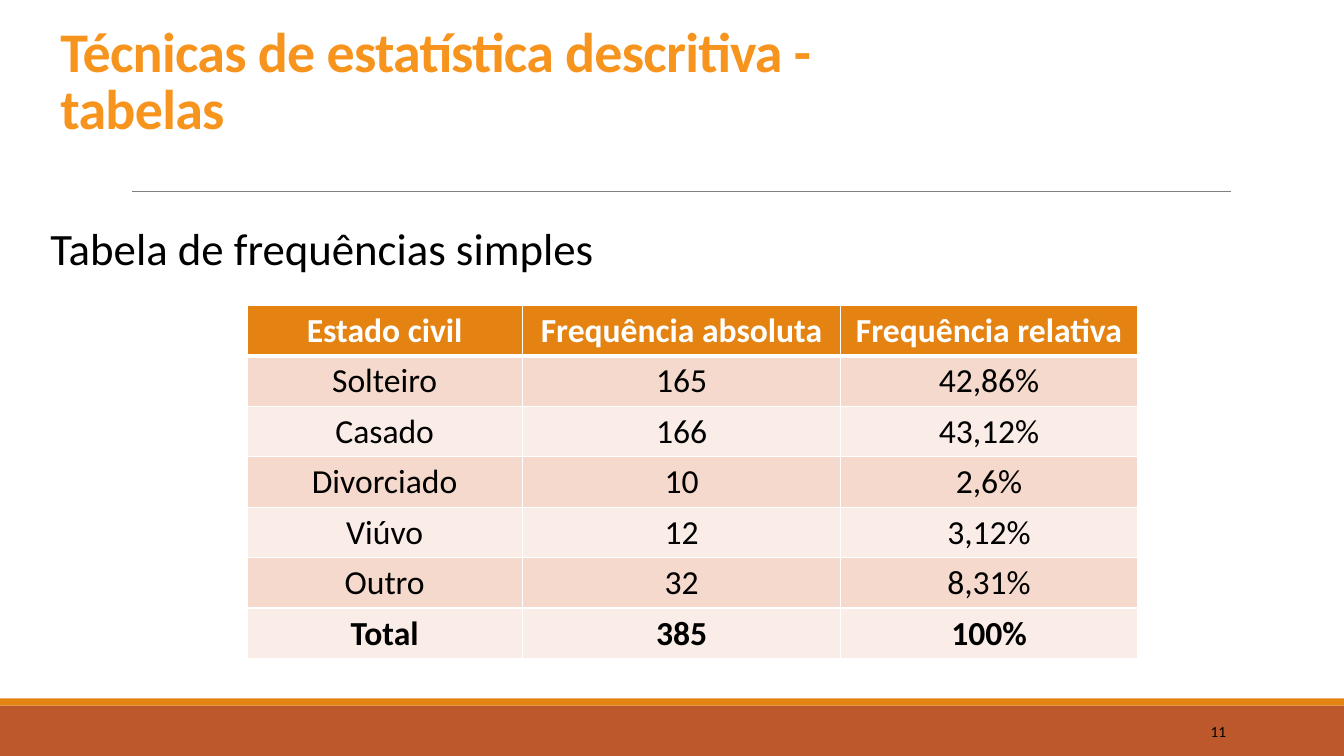
from lxml.etree import SubElement
from pptx import Presentation
from pptx.dml.color import RGBColor
from pptx.enum.shapes import MSO_CONNECTOR, MSO_SHAPE
from pptx.enum.text import MSO_ANCHOR, MSO_AUTO_SIZE, PP_ALIGN
from pptx.oxml.ns import qn
from pptx.util import Inches, Pt

WHITE = RGBColor(0xFF, 0xFF, 0xFF)
BLACK = RGBColor(0, 0, 0)
GRAY = RGBColor(0x80, 0x80, 0x80)
RUST = RGBColor(0xBD, 0x58, 0x2C)
ORANGE = RGBColor(0xE4, 0x83, 0x12)
TITLE_ORANGE = RGBColor(0xF7, 0x94, 0x1E)
BAND_DARK = RGBColor(0xF5, 0xD9, 0xCC)
BAND_LIGHT = RGBColor(0xFA, 0xED, 0xE7)


def set_font(paragraph, size, color, bold=False):
    font = paragraph.font
    font.name = "Calibri"
    font.size = Pt(size)
    font.bold = bold
    font.color.rgb = color


def set_borders(cell, widths):
    properties = cell._tc.get_or_add_tcPr()
    for position, (side, width) in enumerate(widths.items()):
        border = properties.makeelement(qn(f"a:{side}"), {"w": str(Pt(width))})
        fill = SubElement(border, qn("a:solidFill"))
        SubElement(fill, qn("a:srgbClr"), val=str(WHITE))
        properties.insert(position, border)


prs = Presentation()
prs.slide_width = Inches(13.33)
prs.slide_height = Inches(7.5)
slide = prs.slides.add_slide(prs.slide_layouts[1])
shapes = slide.shapes

for top, height, color in [(7, 0.5, RUST), (6.93, 0.07, ORANGE)]:
    footer_band = shapes.add_shape(
        MSO_SHAPE.RECTANGLE, 0, Inches(top), prs.slide_width, Inches(height))
    footer_band.shadow.inherit = False
    footer_band.fill.solid()
    footer_band.fill.fore_color.rgb = color
    footer_band.line.fill.background()

title_rule = shapes.add_connector(
    MSO_CONNECTOR.STRAIGHT, Inches(1.31), Inches(1.9), Inches(12.21), Inches(1.9))
title_rule.line.color.rgb = GRAY
title_rule.line.width = Pt(0.5)
SubElement(title_rule._element.spPr, qn("a:effectLst"))

title = shapes.title
title.left, title.top = Inches(0.5), Inches(0.41)
title.width, title.height = Inches(9.33), Inches(1.04)
title.text_frame.text = "Técnicas de estatística descritiva - tabelas"
title.text_frame.vertical_anchor = MSO_ANCHOR.BOTTOM
title.text_frame.auto_size = MSO_AUTO_SIZE.NONE
heading = title.text_frame.paragraphs[0]
heading.alignment = PP_ALIGN.LEFT
heading.line_spacing = 0.85
set_font(heading, 40, TITLE_ORANGE, True)
heading.runs[0].font._element.set("spc", "-50")

body = slide.placeholders[1]
body.left, body.top = Inches(0.5), Inches(2.2)
body.width, body.height = Inches(12.38), Inches(4.44)
body.text_frame.text = "Tabela de frequências simples"
body.text_frame.auto_size = MSO_AUTO_SIZE.NONE
body.text_frame.margin_left = body.text_frame.margin_right = 0
subtitle = body.text_frame.paragraphs[0]
subtitle.line_spacing = 0.9
subtitle.space_before = Pt(12)
subtitle.space_after = Pt(2)
set_font(subtitle, 32, BLACK)
subtitle_properties = subtitle._p.get_or_add_pPr()
subtitle_properties.set("marL", "0")
subtitle_properties.set("indent", "0")
bullet = subtitle_properties.makeelement(qn("a:buNone"), {})
subtitle_properties.find(qn("a:defRPr")).addprevious(bullet)

page_number = shapes.add_textbox(
    Inches(10.83), Inches(7.06), Inches(1.43), Inches(0.4)).text_frame
page_number.word_wrap = True
page_number.vertical_anchor = MSO_ANCHOR.MIDDLE
page_number.text = "11"
page_number.paragraphs[0].alignment = PP_ALIGN.RIGHT
set_font(page_number.paragraphs[0], 11, BLACK)

frequencies = [
    ("Estado civil", "Frequência absoluta", "Frequência relativa"),
    ("Solteiro", "165", "42,86%"),
    ("Casado", "166", "43,12%"),
    ("Divorciado", "10", "2,6%"),
    ("Viúvo", "12", "3,12%"),
    ("Outro", "32", "8,31%"),
    ("Total", "385", "100%"),
]
table = shapes.add_table(
    len(frequencies), 3, Inches(2.45), Inches(3.03), Inches(8.83), Inches(3.5)).table
for column, width in zip(table.columns, [2.73, 3.16, 2.94]):
    column.width = Inches(width)

last_row = len(frequencies) - 1
for row, values in enumerate(frequencies):
    is_header = row == 0
    table.rows[row].height = Inches(0.5)
    for col, value in enumerate(values):
        cell = table.cell(row, col)
        cell.text = value
        cell.vertical_anchor = MSO_ANCHOR.MIDDLE
        cell.fill.solid()
        cell.fill.fore_color.rgb = (
            ORANGE if is_header else BAND_DARK if row % 2 else BAND_LIGHT)
        paragraph = cell.text_frame.paragraphs[0]
        paragraph.alignment = PP_ALIGN.CENTER
        set_font(paragraph, 24, WHITE if is_header else BLACK, row in (0, last_row))
        set_borders(cell, {"lnL": 1, "lnR": 1, "lnT": 3 if row == 1 else 1,
                           "lnB": 3 if is_header else 1})

prs.save("out.pptx")
